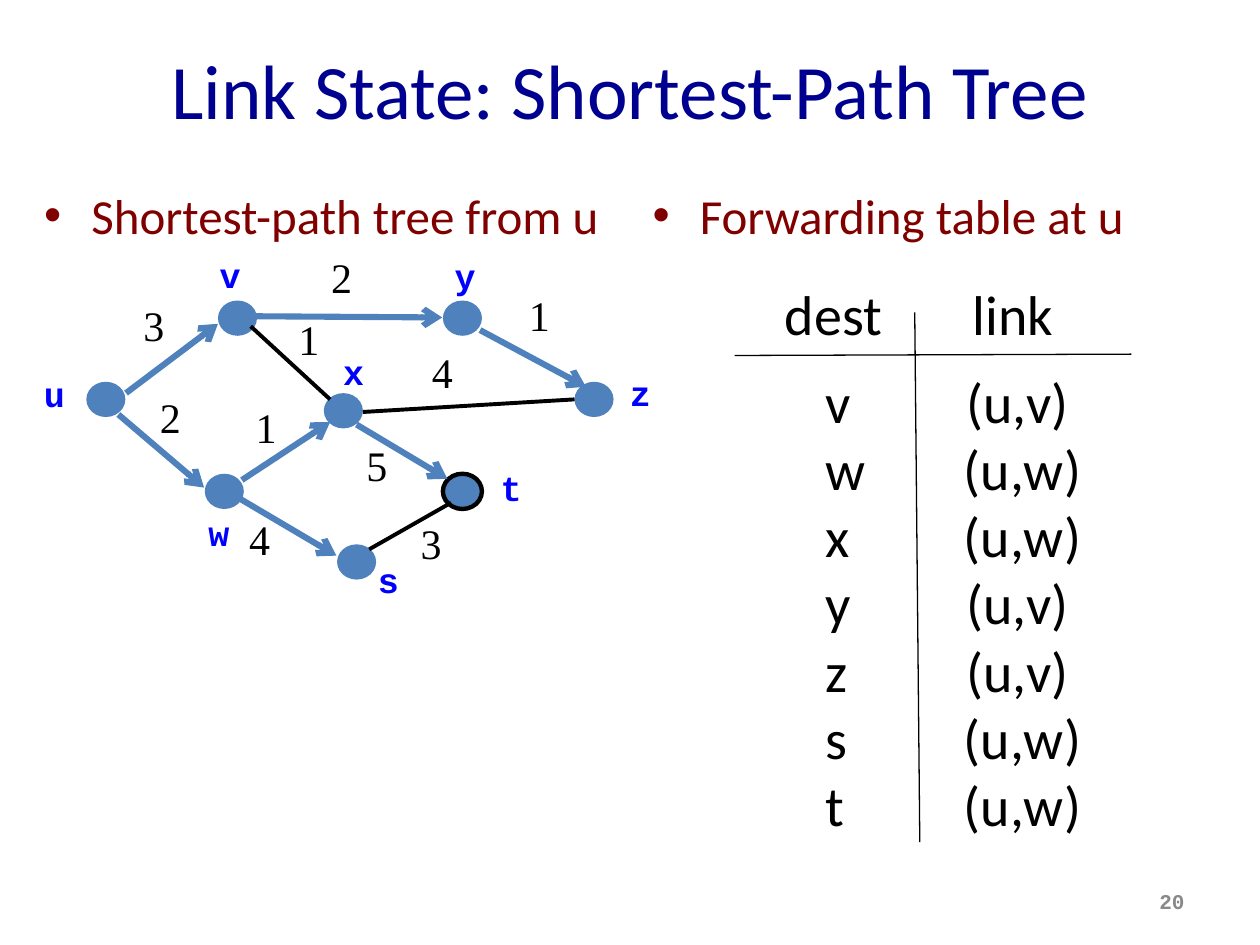
from dataclasses import dataclass

from lxml.etree import SubElement
from pptx import Presentation
from pptx.dml.color import RGBColor
from pptx.enum.shapes import MSO_CONNECTOR, MSO_SHAPE
from pptx.enum.text import MSO_ANCHOR, PP_ALIGN
from pptx.oxml.ns import qn
from pptx.util import Inches, Pt

COLORS = {
    "title": "000090",
    "heading": "800000",
    "tree": "4F81BD",
    "name": "0000FF",
    "ink": "000000",
    "number": "898989",
}
FORMATS = {
    "title": {"name": "Calibri", "size": Pt(44)},
    "heading": {"name": "Calibri", "size": Pt(28)},
    "weight": {"name": "Times New Roman", "size": Pt(24)},
    "name": {"name": "Courier New", "size": Pt(20), "bold": True},
    "entry": {"name": "Calibri", "size": Pt(32)},
    "number": {"name": "Courier New", "size": Pt(12), "bold": True},
}
NODE_SIZE = (3.1, 2.8)
NODES = {
    "u": ((5.9, 12.7), (1.8, 10.1)),
    "w": ((15.3, 20), (14.85, 21.1)),
    "v": ((16.35, 6.25), (15.75, 0.6)),
    "x": ((24.75, 13.6), (25.55, 8.3)),
    "t": ((34.2, 20), (38.05, 17.5)),
    "y": ((34.2, 6.25), (34.4, 0.7)),
    "s": ((25.8, 25.6), (28.3, 24.8)),
    "z": ((44.65, 12.7), (48.3, 10)),
}
TREE_EDGES = [
    ((7.5, 12.2), (14.8, 6.7), "3", (7.9, 4.3)),
    ((6.9, 13.9), (13.7, 19.7), "2", (9.2, 11.6)),
    ((16.4, 20.5), (24.2, 25.1), "4", (16.3, 21.3)),
    ((16.7, 19.1), (23.7, 14.5), "1", (16.8, 12.4)),
    ((25.8, 14.7), (33, 19), "5", (25.6, 15.4)),
    ((17.6, 6.1), (32.6, 6.2), "2", (22.8, 0.5)),
    ((35.6, 7.2), (44, 11.7), "1", (38.5, 3.5)),
]
OTHER_EDGES = [
    ((17.4, 6.9), (23.7, 12.7), "1", (20.2, 5.4)),
    ((26.8, 24.6), (33.3, 20.9), "3", (29.9, 21.6)),
    ((26.3, 13.7), (43.1, 12.7), "4", (30.8, 8)),
]
ROUTES = {"v": "v", "w": "w", "x": "w", "y": "v", "z": "v", "s": "w", "t": "w"}
HOP_SPANS = {"v": (17.4, 10.2), "w": (17.2, 12)}


@dataclass
class Box:
    """A region in inches, divided into columns and rows."""

    left: float
    top: float
    width: float
    height: float
    columns: float = 1
    rows: float = 1

    def point(self, column, row):
        """Return the slide position of a grid point."""
        return (Inches(self.left + column * self.width / self.columns),
                Inches(self.top + row * self.height / self.rows))

    def area(self, column, row, columns, rows):
        """Return the left, top, width and height of a grid area."""
        return (*self.point(column, row),
                Inches(columns * self.width / self.columns),
                Inches(rows * self.height / self.rows))


def color(name):
    """Return a palette colour."""
    return RGBColor.from_string(COLORS[name])


def write(frame, text, style, ink, align=None):
    """Write one formatted paragraph into a text frame."""
    paragraph = frame.paragraphs[0]
    paragraph.alignment = align
    run = paragraph.add_run()
    run.text = text
    for key, value in FORMATS[style].items():
        setattr(run.font, key, value)
    run.font.color.rgb = color(ink)


def add_label(shapes, area, text, style, ink="ink", align=None):
    """Add an unwrapped text box."""
    frame = shapes.add_textbox(*area).text_frame
    frame.word_wrap = False
    write(frame, text, style, ink, align)
    return frame


def add_line(shapes, start, end, ink, width, arrow=False):
    """Add a straight line, with an arrowhead at its end if wanted."""
    line = shapes.add_connector(MSO_CONNECTOR.STRAIGHT, *start, *end)
    line.line.color.rgb = color(ink)
    line.line.width = Pt(width)
    properties = line._element.spPr
    if arrow:
        SubElement(properties.find(qn("a:ln")), qn("a:tailEnd"), type="arrow")
    SubElement(properties, qn("a:effectLst"))


def fill_placeholder(shape, box, text, style):
    """Move a placeholder to a box and write its text."""
    for key, value in zip(("left", "top", "width", "height"), box.area(0, 0, 1, 1)):
        setattr(shape, key, value)
    write(shape.text_frame, text, style, style)


def add_node(shapes, box, name, center, label):
    """Add a graph node and its name."""
    width, height = NODE_SIZE
    area = box.area(center[0] - width / 2, center[1] - height / 2, width, height)
    node = shapes.add_shape(MSO_SHAPE.OVAL, *area)
    node.shadow.inherit = False
    node.fill.solid()
    node.fill.fore_color.rgb = color("tree")
    if name == "t":
        node.line.color.rgb = color("ink")
        node.line.width = Pt(2.5)
    else:
        node.line.fill.background()
    add_label(shapes, box.area(label[0] - 1.8, label[1], 3.6, 4.3), name,
              "name", "name", PP_ALIGN.CENTER)


def add_graph(slide, box):
    """Draw the weighted graph with its shortest-path tree."""
    shapes = slide.shapes.add_group_shape().shapes
    for name, (center, label) in NODES.items():
        add_node(shapes, box, name, center, label)
    for edges, ink, width, arrow in ((TREE_EDGES, "tree", 3.5, True),
                                     (OTHER_EDGES, "ink", 2.25, False)):
        for start, end, weight, corner in edges:
            add_line(shapes, box.point(*start), box.point(*end), ink, width, arrow)
            add_label(shapes, box.area(*corner, 3.7, 5), weight, "weight")


def add_forwarding_table(slide, box):
    """Set out destinations and links beside a pair of crossing rules."""
    shapes = slide.shapes
    add_line(shapes, box.point(14.3, 0.58), box.point(14.7, 8.45), "ink", 0.75)
    add_line(shapes, box.point(0, 1.22), box.point(31.5, 1.2), "ink", 0.75)
    add_label(shapes, box.area(3, 0, 9.8, 1.2), "dest", "entry")
    add_label(shapes, box.area(17.9, 0, 8.5, 1.2), "link", "entry")
    for row, (destination, hop) in enumerate(ROUTES.items()):
        top = row + 1.3
        cells = shapes.add_group_shape().shapes
        add_label(cells, box.area(6.2, top, 5.2, 1.2), destination, "entry")
        left, width = HOP_SPANS[hop]
        add_label(cells, box.area(left, top, width, 1.2), f"(u,{hop})", "entry")


def add_slide_number(slide, box):
    """Add the slide number at the lower right."""
    frame = add_label(slide.shapes, box.area(0, 0, 1, 1), "20",
                      "number", "number", PP_ALIGN.RIGHT)
    frame.word_wrap = True
    frame.vertical_anchor = MSO_ANCHOR.MIDDLE


def main():
    """Build and save the slide."""
    presentation = Presentation()
    presentation.slide_width, presentation.slide_height = Inches(10), Inches(7.5)
    slide = presentation.slides.add_slide(presentation.slide_layouts[3])
    title, left, right = slide.placeholders
    fill_placeholder(title, Box(0.5, 0.08, 9, 1.25),
                     "Link State: Shortest-Path Tree", "title")
    fill_placeholder(left, Box(0.25, 1.42, 4.92, 4.95),
                     "Shortest-path tree from u", "heading")
    fill_placeholder(right, Box(5.08, 1.42, 4.42, 4.95),
                     "Forwarding table at u", "heading")
    add_graph(slide, Box(0.25, 1.9, 5, 3, columns=50, rows=30))
    add_forwarding_table(slide, Box(5.83, 2.17, 3.15, 4.54, columns=31.5, rows=8.5))
    add_slide_number(slide, Box(7.17, 6.95, 2.33, 0.4))
    presentation.save("out.pptx")


if __name__ == "__main__":
    main()
